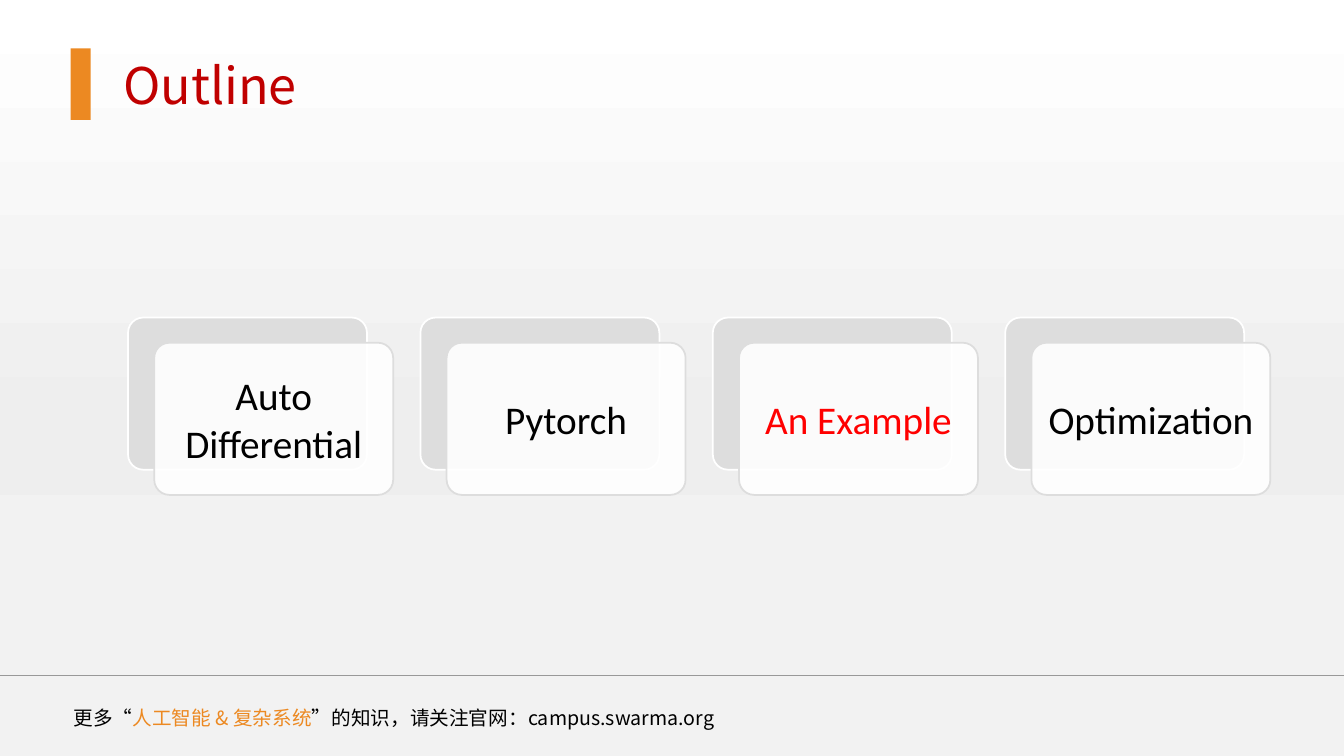
from lxml import etree
from pptx import Presentation
from pptx.dml.color import RGBColor
from pptx.enum.shapes import MSO_CONNECTOR, MSO_SHAPE
from pptx.enum.text import MSO_ANCHOR, MSO_AUTO_SIZE, PP_ALIGN
from pptx.oxml.ns import qn
from pptx.util import Inches, Pt

RECTANGLE, ROUNDED = MSO_SHAPE.RECTANGLE, MSO_SHAPE.ROUNDED_RECTANGLE
STRAIGHT = MSO_CONNECTOR.STRAIGHT
LEFT, CENTER = PP_ALIGN.LEFT, PP_ALIGN.CENTER
MIDDLE, NO_FIT = MSO_ANCHOR.MIDDLE, MSO_AUTO_SIZE.NONE

SLIDE_WIDTH, SLIDE_HEIGHT = 13.33, 7.5
CJK_FONT, LATIN_FONT = "Noto Sans CJK SC", "Calibri"
COLORS = {
    "white": "FFFFFF", "black": "000000", "title": "C00000",
    "accent": "EC8922", "highlight": "FF0000", "card": "DDDDDD",
    "rule": "999999", "shade": "EEEEEE", "base": "F2F2F2",
}
BACKGROUND_STOPS = [(0, "white"), (57, "shade"), (74, "base"), (100, "base")]
TOPICS = [("Auto Differential", "black"), ("Pytorch", "black"),
          ("An Example", "highlight"), ("Optimization", "black")]
FOOTER = [("更多“", "black"), ("人工智能 & 复杂系统", "accent"),
          ("”的知识，请关注官网：campus.swarma.org", "black")]


def color(name):
    """Return the named colour."""
    return RGBColor.from_string(COLORS[name])


def format_run(run, font_name, size, color_name):
    """Set the font of a run for Latin and East Asian text."""
    run.font.name = font_name
    run.font.size = Pt(size)
    run.font.color.rgb = color(color_name)
    east_asian = etree.Element(qn("a:ea"), typeface=font_name)
    run.font._element.find(qn("a:latin")).addnext(east_asian)


def add_block(slide, kind, box, fill, line=None):
    """Add a filled preset shape in the given box."""
    shape = slide.shapes.add_shape(kind, *map(Inches, box))
    shape.shadow.inherit = False
    shape.fill.solid()
    shape.fill.fore_color.rgb = color(fill)
    if line:
        shape.line.color.rgb = color(line)
        shape.line.width = Pt(1.25)
    else:
        shape.line.fill.background()
    return shape


def add_background(slide):
    """Shade the slide background from top to bottom."""
    fill = slide.background.fill
    fill.gradient()
    fill.gradient_angle = 270
    stops = slide.background._cSld.find(".//" + qn("a:gsLst"))
    for stop in list(stops):
        stops.remove(stop)
    for position, name in BACKGROUND_STOPS:
        stop = etree.SubElement(stops, qn("a:gs"), pos=str(position * 1000))
        etree.SubElement(stop, qn("a:srgbClr"), val=COLORS[name])


def add_title(slide, left, top, height):
    """Place the title beside its accent bar."""
    add_block(slide, RECTANGLE, (left, top, 0.2, height), "accent")
    title = slide.shapes.title
    title.left, title.top = Inches(left + 0.42), Inches(top)
    title.width, title.height = Inches(5.1), Inches(height)
    frame = title.text_frame
    frame.text = "Outline"
    frame.auto_size = NO_FIT
    frame.vertical_anchor = MIDDLE
    paragraph = frame.paragraphs[0]
    paragraph.alignment = LEFT
    format_run(paragraph.runs[0], CJK_FONT, 36, "title")


def add_card(slide, left, top, text, text_color):
    """Add a topic card with a grey card behind it."""
    width, height, offset = 2.37, 1.51, 0.26
    back = add_block(slide, ROUNDED, (left, top, width, height), "card", "white")
    front = add_block(slide, ROUNDED, (left + offset, top + offset - 0.01, width, height),
                      "white", "card")
    for shape in (back, front):
        shape.adjustments[0] = 0.1
    fill_color = front._element.spPr.find(qn("a:solidFill"))[0]
    etree.SubElement(fill_color, qn("a:alpha"), val="90000")
    frame = front.text_frame
    frame.text = text
    frame.word_wrap = True
    frame.vertical_anchor = MIDDLE
    frame.margin_left = frame.margin_right = Inches(0.12)
    paragraph = frame.paragraphs[0]
    paragraph.alignment = CENTER
    format_run(paragraph.runs[0], LATIN_FONT, 28, text_color)


def add_topics(slide, left, top, pitch):
    """Lay out the topic cards in an evenly spaced row."""
    for index, (text, text_color) in enumerate(TOPICS):
        add_card(slide, left + index * pitch, top, text, text_color)


def add_footer(slide, top):
    """Add the footer rule and the website note below it."""
    rule = slide.shapes.add_connector(STRAIGHT, 0, Inches(top), Inches(SLIDE_WIDTH), Inches(top))
    rule.line.color.rgb = color("rule")
    rule.line.width = Pt(1)
    etree.SubElement(rule._element.spPr, qn("a:effectLst"))
    note = slide.shapes.add_textbox(Inches(0.63), Inches(top + 0.25), Inches(7.85), Inches(0.34))
    frame = note.text_frame
    frame.word_wrap = True
    frame.vertical_anchor = MIDDLE
    for text, text_color in FOOTER:
        run = frame.paragraphs[0].add_run()
        run.text = text
        format_run(run, CJK_FONT, 14, text_color)


def main():
    """Build and save the outline slide."""
    presentation = Presentation()
    presentation.slide_width = Inches(SLIDE_WIDTH)
    presentation.slide_height = Inches(SLIDE_HEIGHT)
    slide = presentation.slides.add_slide(presentation.slide_layouts[5])
    add_background(slide)
    add_title(slide, 0.7, 0.48, 0.71)
    add_topics(slide, 1.27, 3.15, 2.9)
    add_footer(slide, 6.7)
    presentation.save("out.pptx")


if __name__ == "__main__":
    main()
